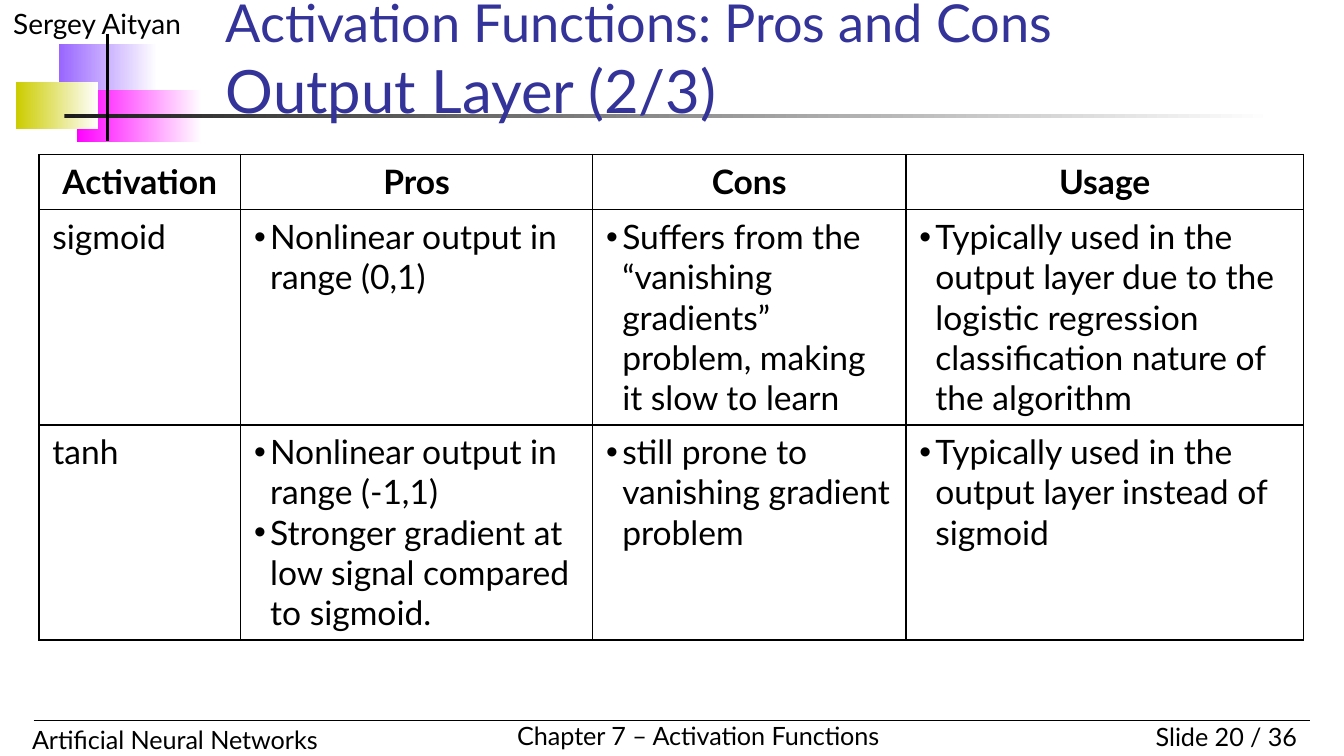
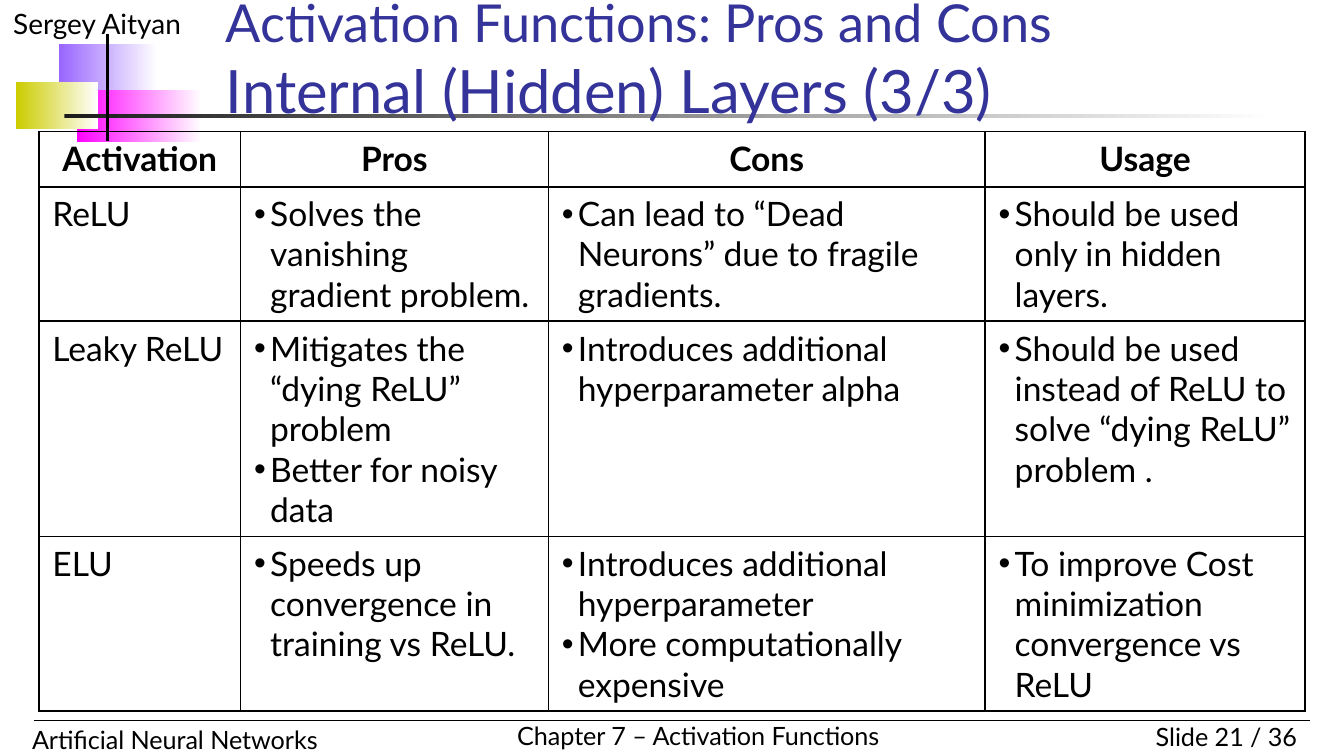
from collections import namedtuple

from lxml.etree import SubElement
from pptx import Presentation
from pptx.dml.color import RGBColor
from pptx.enum.shapes import MSO_CONNECTOR, MSO_SHAPE
from pptx.enum.text import MSO_ANCHOR, MSO_AUTO_SIZE, PP_ALIGN
from pptx.oxml.ns import qn
from pptx.util import Inches, Pt

# Shared look
FONT = "Lato"
BLACK = RGBColor(0x00, 0x00, 0x00)
WHITE = RGBColor(0xFF, 0xFF, 0xFF)
INDIGO = RGBColor(0x33, 0x33, 0x99)
VIOLET = RGBColor(0x99, 0x66, 0xFF)
MAGENTA = RGBColor(0xFF, 0x00, 0xFF)
OLIVE = RGBColor(0xCC, 0xCC, 0x00)
CHARCOAL = RGBColor(0x1C, 0x1C, 0x1C)

Box = namedtuple("Box", "left top width height")
HEADER = Box(0, 0, 10, 1.06)
FOOTER = Box(0, 5.31, 10, 0.31)
TITLE = Box(1.58, 0.44, 8.06, 0.54)
TABLE_LEFT = 0.29
ROW_HEIGHT = 0.41
BULLET_INDENT = 0.12

TITLE_FORMAT = {"name": FONT, "size": Pt(28), "color": INDIGO}
SUBTITLE_FORMAT = {**TITLE_FORMAT, "size": Pt(32)}
AUTHOR_FORMAT = {"name": FONT, "size": Pt(15), "color": BLACK}
FOOTER_FORMAT = {**AUTHOR_FORMAT, "size": Pt(13.5)}
CELL_FORMAT = {**AUTHOR_FORMAT, "size": Pt(18), "bold": False}
HEADING_FORMAT = {**CELL_FORMAT, "bold": True}

# Content
AUTHOR = "Sergey Aityan"
COURSE = "Artificial Neural Networks"
CHAPTER = "Chapter 7 – Activation Functions"
SLIDE_TOTAL = 36
TOPIC = "Activation Functions: Pros and Cons"
HEADINGS = ["Activation", "Pros", "Cons", "Usage"]

# Each row: function name, then a list of bullets for every other column
COMPARISONS = [
    {
        "number": 20,
        "layer": "Output Layer (2/3)",
        "top": 1.15,
        "height": 3.61,
        "columns": [1.5, 2.62, 2.33, 2.96],
        "functions": [
            ("sigmoid",
             ["Nonlinear output in range (0,1)"],
             ["Suffers from the “vanishing gradients” problem, making it slow to learn"],
             ["Typically used in the output layer due to the logistic regression "
              "classification nature of the algorithm"]),
            ("tanh",
             ["Nonlinear output in range (-1,1)",
              "Stronger gradient at low signal compared to sigmoid."],
             ["still prone to vanishing gradient problem"],
             ["Typically used in the output layer instead of sigmoid"]),
        ],
    },
    {
        "number": 21,
        "layer": "Internal (Hidden) Layers (3/3)",
        "top": 0.98,
        "height": 4.31,
        "columns": [1.5, 2.29, 3.25, 2.38],
        "functions": [
            ("ReLU",
             ["Solves the vanishing gradient problem."],
             ["Can lead to “Dead Neurons” due to fragile gradients."],
             ["Should be used only in hidden layers."]),
            ("Leaky ReLU",
             ["Mitigates the “dying ReLU” problem", "Better for noisy data"],
             ["Introduces additional hyperparameter alpha"],
             ["Should be used instead of ReLU to solve “dying ReLU” problem ."]),
            ("ELU",
             ["Speeds up convergence in training vs ReLU."],
             ["Introduces additional hyperparameter", "More computationally expensive"],
             ["To improve Cost minimization convergence vs ReLU"]),
        ],
    },
]


def within(box, left, top, width, height):
    """Lengths of a part given relative to its region."""
    return [Inches(v) for v in (box.left + left, box.top + top, width, height)]


def add_run(paragraph, text, style):
    run = paragraph.add_run()
    run.text = text
    for attribute, value in style.items():
        if attribute == "color":
            run.font.color.rgb = value
        else:
            setattr(run.font, attribute, value)


def add_label(slide, place, text, style, align=PP_ALIGN.LEFT, wrap=True):
    label = slide.shapes.add_textbox(*place)
    frame = label.text_frame
    frame.word_wrap = wrap
    frame.auto_size = MSO_AUTO_SIZE.SHAPE_TO_FIT_TEXT
    frame.paragraphs[0].alignment = align
    add_run(frame.paragraphs[0], text, style)


def add_rule(slide, place, weight):
    left, top, width, height = place
    rule = slide.shapes.add_connector(
        MSO_CONNECTOR.STRAIGHT, left, top, left + width, top + height)
    rule.line.color.rgb = BLACK
    rule.line.width = Pt(weight)
    SubElement(rule._element.spPr, qn("a:effectLst"))


def add_fade(slide, place, color):
    block = slide.shapes.add_shape(MSO_SHAPE.RECTANGLE, *place)
    block.shadow.inherit = False
    block.line.fill.background()
    block.fill.gradient()
    block.fill.gradient_angle = 0
    for stop, shade in zip(block.fill.gradient_stops, (color, WHITE)):
        stop.color.rgb = shade


def add_header(slide, box):
    # Fading blocks and underline
    for place, color in (
        ((0.44, 0.33, 0.73, 0.39), VIOLET),
        ((0.57, 0.67, 0.93, 0.39), MAGENTA),
        ((0.12, 0.61, 0.61, 0.35), OLIVE),
        ((0.48, 0.85, 9, 0.03), CHARCOAL),
    ):
        add_fade(slide, within(box, *place), color)
    add_label(slide, within(box, 0, 0, 2.5, 0.35), AUTHOR, AUTHOR_FORMAT)
    add_rule(slide, within(box, 0.8, 0.25, 0, 0.8), 2)


def add_footer(slide, box, number):
    add_label(slide, within(box, 8.25, 0.01, 1.5, 0.33),
              f"Slide {number} / {SLIDE_TOTAL}", FOOTER_FORMAT, PP_ALIGN.RIGHT)
    add_label(slide, within(box, 0.14, 0.03, 3.7, 0.33), COURSE, FOOTER_FORMAT)
    add_label(slide, within(box, 3.75, 0, 2.91, 0.33), CHAPTER, FOOTER_FORMAT,
              wrap=False)
    add_rule(slide, within(box, 0.25, 0.05, 9.5, 0), 0.75)


def place_title(slide, box, layer):
    title = slide.shapes.title
    for side, value in box._asdict().items():
        setattr(title, side, Inches(value))
    frame = title.text_frame
    frame.auto_size = MSO_AUTO_SIZE.NONE
    frame.word_wrap = True
    frame.vertical_anchor = MSO_ANCHOR.BOTTOM
    heading = frame.paragraphs[0]
    heading.alignment = PP_ALIGN.LEFT
    add_run(heading, TOPIC, TITLE_FORMAT)
    heading.add_line_break()
    add_run(heading, layer, SUBTITLE_FORMAT)
    # Bring the title in front of the header blocks
    slide.shapes._spTree.append(title._element)


def outline_cell(cell):
    properties = cell._tc.get_or_add_tcPr()
    for side in ("a:lnL", "a:lnR", "a:lnT", "a:lnB"):
        border = SubElement(properties, qn(side), w=str(Pt(1)))
        color = SubElement(border, qn("a:solidFill"))
        SubElement(color, qn("a:srgbClr"), val=str(BLACK))
    cell.fill.background()


def add_bullet(paragraph):
    properties = paragraph._p.get_or_add_pPr()
    properties.set("marL", str(Inches(BULLET_INDENT)))
    properties.set("indent", str(-Inches(BULLET_INDENT)))
    SubElement(properties, qn("a:buFont"), typeface="Arial")
    SubElement(properties, qn("a:buChar"), char="•")


def fill_cell(cell, lines, style, align=PP_ALIGN.LEFT, bulleted=False):
    outline_cell(cell)
    frame = cell.text_frame
    for index, line in enumerate(lines):
        paragraph = frame.add_paragraph() if index else frame.paragraphs[0]
        paragraph.alignment = align
        if bulleted:
            add_bullet(paragraph)
        add_run(paragraph, line, style)


def add_comparison_table(slide, box, columns, functions):
    holder = slide.shapes.add_table(
        len(functions) + 1, len(columns), *within(box, 0, 0, box.width, box.height))
    table = holder.table
    table.first_row = table.horz_banding = False
    for column, width in zip(table.columns, columns):
        column.width = Inches(width)
    for row in table.rows:
        row.height = Inches(ROW_HEIGHT)
    holder.height = Inches(box.height)  # rows grow to fit their text

    for column, heading in enumerate(HEADINGS):
        fill_cell(table.cell(0, column), [heading], HEADING_FORMAT, PP_ALIGN.CENTER)
    for row, (function, *remarks) in enumerate(functions, start=1):
        fill_cell(table.cell(row, 0), [function], CELL_FORMAT)
        for column, bullets in enumerate(remarks, start=1):
            fill_cell(table.cell(row, column), bullets, CELL_FORMAT, bulleted=True)


def add_comparison_slide(deck, comparison):
    slide = deck.slides.add_slide(deck.slide_layouts[5])
    add_header(slide, HEADER)
    add_footer(slide, FOOTER, comparison["number"])
    place_title(slide, TITLE, comparison["layer"])
    columns = comparison["columns"]
    table_box = Box(TABLE_LEFT, comparison["top"], sum(columns), comparison["height"])
    add_comparison_table(slide, table_box, columns, comparison["functions"])


def main():
    deck = Presentation()
    deck.slide_width = Inches(10)
    deck.slide_height = deck.slide_width * 9 // 16
    for comparison in COMPARISONS:
        add_comparison_slide(deck, comparison)
    deck.save("out.pptx")


if __name__ == "__main__":
    main()
